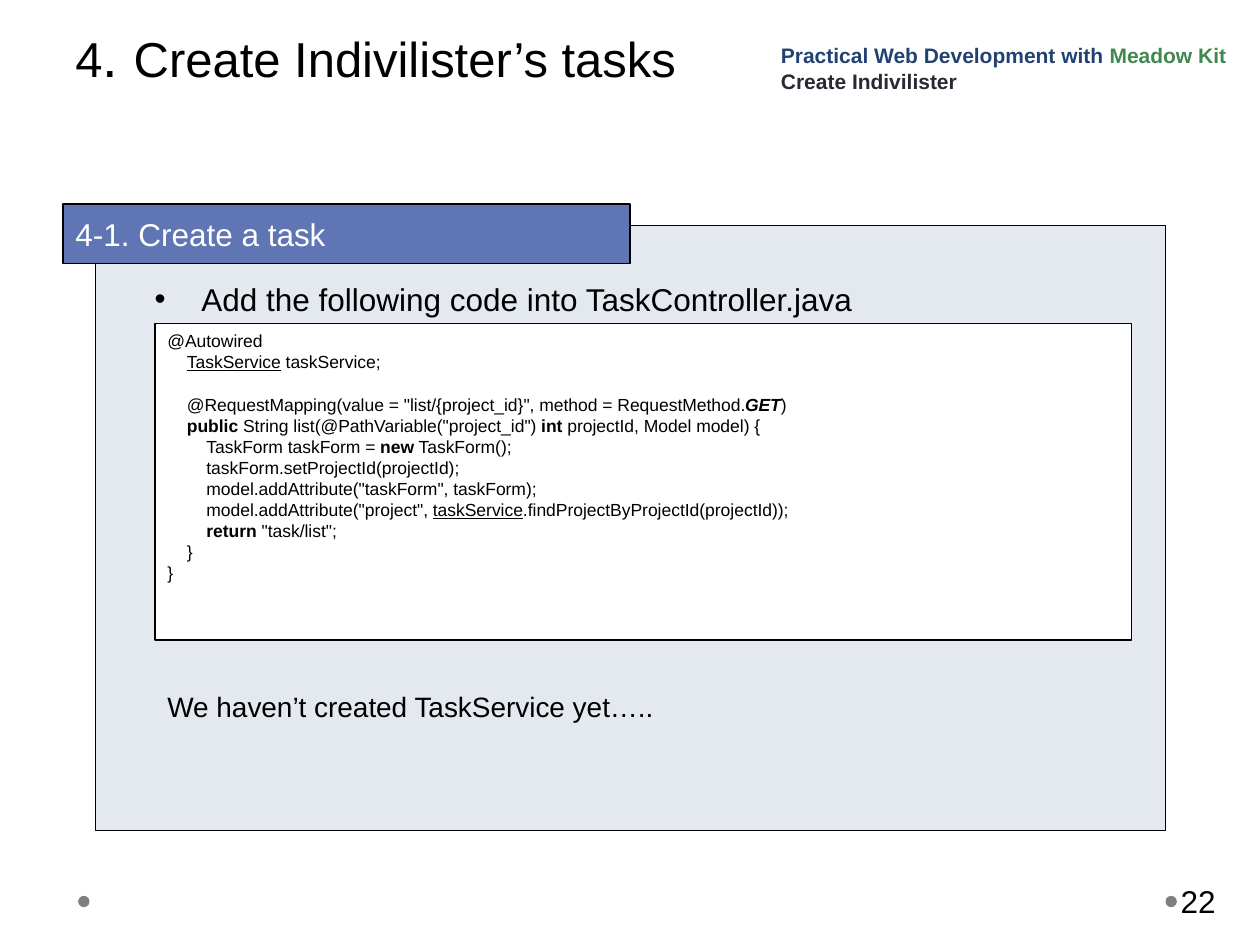
from dataclasses import dataclass
from lxml import etree
from pptx import Presentation
from pptx import util as u
from pptx.dml.color import RGBColor
from pptx.enum import shapes, text
from pptx.oxml.ns import qn


@dataclass(frozen=True)
class Theme:
    """Colours, type sizes and font of the slide."""
    font: str = "Arial"
    ink: str = "000000"
    paper: str = "FFFFFF"
    panel: str = "E4E9EF"
    tab: str = "6076B4"
    dot: str = "7F7F7F"
    navy: str = "234271"
    green: str = "40884F"
    dark: str = "292934"
    title: int = 28
    point: int = 32
    body: int = 18
    note: int = 16
    head: int = 12
    code: int = 10


T = Theme()
BOLD, UNDER = {"bold": True}, {"underline": True}
CODE = [
    (0, 0, [("@Autowired", {})]),
    (1, 0, [("TaskService", UNDER), (" taskService;", {})]),
    (1, 1, [('@RequestMapping(value = "list/{project_id}", method = RequestMethod.', {}),
            ("GET", {"bold": True, "italic": True}), (")", {})]),
    (1, 0, [("public", BOLD), (' String list(@PathVariable("project_id") ', {}),
            ("int", BOLD), (" projectId, Model model) {", {})]),
    (2, 0, [("TaskForm taskForm = ", {}), ("new", BOLD), (" TaskForm();", {})]),
    (2, 0, [("taskForm.setProjectId(projectId);", {})]),
    (2, 0, [('model.addAttribute("taskForm", taskForm);', {})]),
    (2, 0, [('model.addAttribute("project", ', {}), ("taskService", UNDER),
            (".findProjectByProjectId(projectId));", {})]),
    (2, 0, [("return", BOLD), (' "task/list";', {})]),
    (1, 0, [("}", {})]),
    (0, 0, [("}", {})]),
]


def put(obj, vals):
    """Set each attribute of an object from a dict."""
    for key, val in vals.items():
        setattr(obj, key, val)


def inch(box):
    """Turn a box of plain numbers into lengths."""
    return [u.Inches(val) for val in box]


def shape(slide, box, fill, line=None, kind=shapes.MSO_SHAPE.RECTANGLE):
    """Draw a flat filled shape, with an outline if a colour is given."""
    item = slide.shapes.add_shape(kind, *inch(box))
    item.shadow.inherit = False
    item.fill.solid()
    item.fill.fore_color.rgb = RGBColor.from_string(fill)
    if line:
        item.line.color.rgb = RGBColor.from_string(line)
        item.line.width = u.Pt(0.75)
    else:
        item.line.fill.background()
    return item


def label(slide, box):
    """Add an empty text box."""
    return slide.shapes.add_textbox(*inch(box))


def write(item, lines, size, color=T.ink, anchor=text.MSO_ANCHOR.TOP):
    """Fill a shape with lines of styled runs and return the paragraphs."""
    frame = item.text_frame
    put(frame, {"word_wrap": True, "vertical_anchor": anchor})
    paras = []
    for runs in lines:
        para = frame.add_paragraph() if paras else frame.paragraphs[0]
        para.alignment = text.PP_ALIGN.LEFT
        for words, style in runs:
            run = para.add_run()
            run.text = words
            look = {"name": T.font, "size": u.Pt(size), **style}
            tint = look.pop("color", color)
            put(run.font, look)
            run.font.color.rgb = RGBColor.from_string(tint)
        paras.append(para)
    return paras


def bullet(para, hang):
    """Give a paragraph a round bullet with a hanging indent."""
    props = para._p.get_or_add_pPr()
    props.set("marL", str(u.Inches(hang)))
    props.set("indent", str(-u.Inches(hang)))
    etree.SubElement(props, qn("a:buFont")).set("typeface", T.font)
    etree.SubElement(props, qn("a:buChar")).set("char", "•")


def header(slide, box):
    """Place the title on the left and the course name on the right."""
    x, y, w, h = box
    write(label(slide, (x, y, 5.5, h)),
          [[("4", {}), (". ", {"size": u.Pt(T.point)}),
            ("Create Indivilister’s tasks", {})]],
          T.title, anchor=text.MSO_ANCHOR.MIDDLE)
    write(label(slide, (x + w - 3.9, y + 0.15, 3.9, 0.55)),
          [[("Practical Web Development with ", {"color": T.navy, **BOLD}),
            ("Meadow Kit", {"color": T.green, **BOLD})],
           [("Create Indivilister", {"color": T.dark, **BOLD})]],
          T.head, anchor=text.MSO_ANCHOR.BOTTOM)


def code(slide, box):
    """Place the listing, indented by level."""
    paras = write(shape(slide, box, T.paper, T.ink),
                  [runs for _, _, runs in CODE], T.code)
    for para, (level, gap, _) in zip(paras, CODE):
        para._p.get_or_add_pPr().set("marL", str(u.Inches(0.155 * level)))
        para.space_before = u.Pt(12.5 * gap)


def panel(slide, box):
    """Place the panel with its tab, instruction, listing and note."""
    x, y, w, h = box
    shape(slide, box, T.panel, T.ink)
    write(shape(slide, (x - 0.26, y - 0.17, 4.5, 0.47), T.tab, T.ink),
          [[("4-1. Create a task", {})]],
          T.body, T.paper, text.MSO_ANCHOR.MIDDLE)
    paras = write(label(slide, (x + 0.37, y + 0.38, 7.74, 0.4)),
                  [[("Add the following code into TaskController.java", {})]], T.body)
    bullet(paras[0], 0.37)
    code(slide, (x + 0.47, y + 0.78, 7.75, 2.51))
    write(label(slide, (x + 0.47, y + 3.63, 7.02, 0.45)),
          [[("We haven’t created TaskService yet…..", {})]], T.note)


def footer(slide, box):
    """Place the two dots and the page number."""
    x, y, w, h = box
    for left in (x, x + 8.63):
        shape(slide, (left, y + 0.16, 0.09, 0.09), T.dot,
              kind=shapes.MSO_SHAPE.OVAL)
    page = label(slide, (x + 8.72, y, w - 8.72, h))
    page.text_frame.margin_left = u.Inches(0.03)
    write(page, [[("22", {})]], T.body, anchor=text.MSO_ANCHOR.MIDDLE)


def main():
    """Build and save the slide."""
    deck = Presentation()
    put(deck, {"slide_width": u.Inches(10), "slide_height": u.Inches(7.5)})
    slide = deck.slides.add_slide(deck.slide_layouts[6])
    header(slide, (0.5, 0.09, 9.5, 0.7))
    panel(slide, (0.76, 1.79, 8.49, 4.8))
    footer(slide, (0.62, 6.95, 9.33, 0.4))
    deck.save("out.pptx")


if __name__ == "__main__":
    main()
